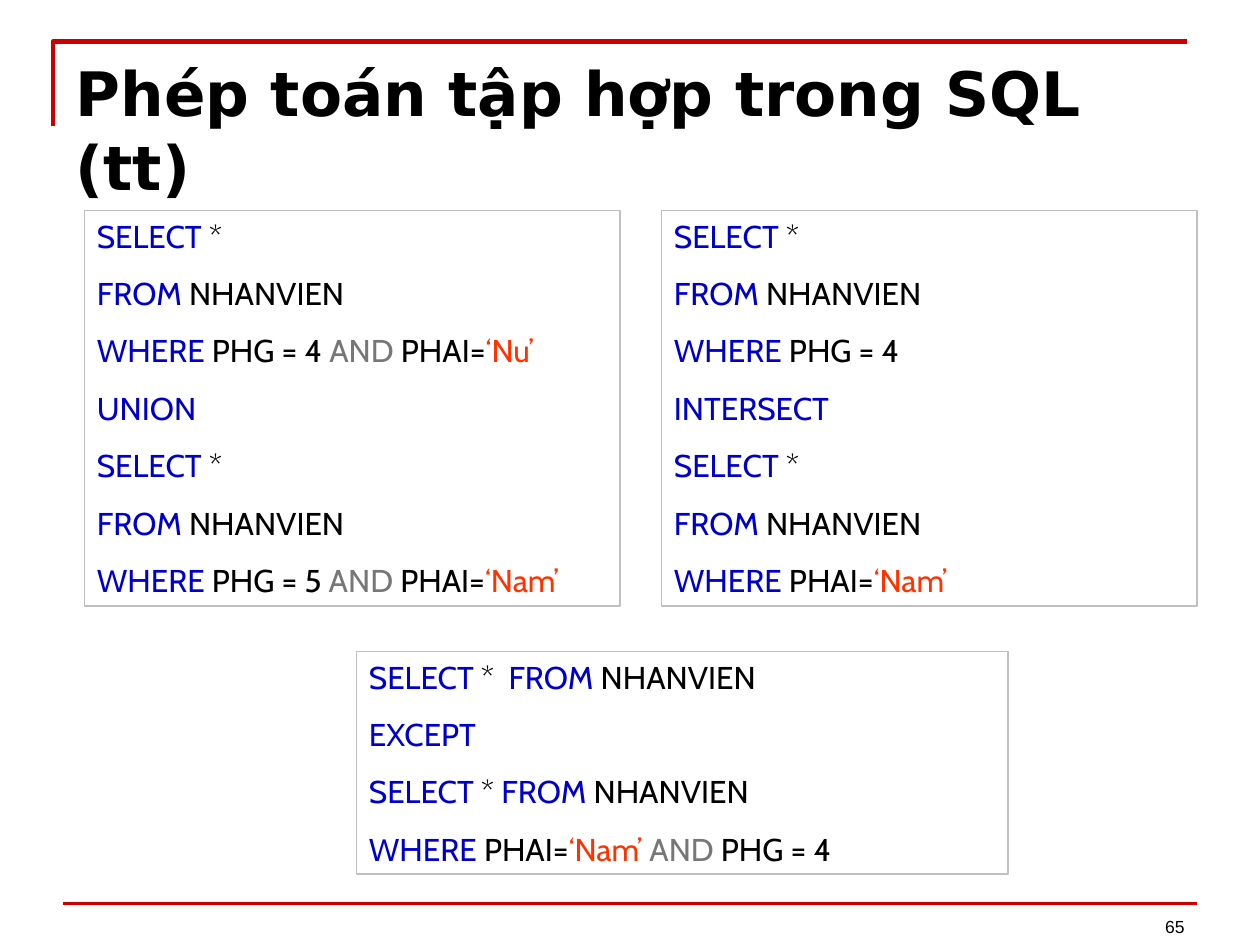
from lxml import etree
from pptx import Presentation
from pptx.dml.color import RGBColor
from pptx.enum.shapes import MSO_CONNECTOR, MSO_SHAPE
from pptx.enum.text import MSO_ANCHOR, MSO_AUTO_SIZE, PP_ALIGN
from pptx.oxml.ns import qn
from pptx.util import Inches, Pt

COLORS = {
    "text": "000000",
    "keyword": "0000CC",
    "operator": "777777",
    "string": "FF3300",
    "border": "C0C0C0",
    "rule": "CC0000",
}

# Each query is a list of lines, each line a list of (text, colour name)
SELECT_ALL = [("SELECT", "keyword"), (" *", "text")]
FROM_STAFF = [("FROM ", "keyword"), ("NHANVIEN", "text")]
WHERE = ("WHERE ", "keyword")
AND = ("AND ", "operator")
GENDER = ("PHAI=", "text")
MALE = ("‘Nam’", "string")

UNION_QUERY = [
    SELECT_ALL,
    FROM_STAFF,
    [WHERE, ("PHG = 4 ", "text"), AND, GENDER, ("‘Nu’", "string")],
    [("UNION", "keyword")],
    SELECT_ALL,
    FROM_STAFF,
    [WHERE, ("PHG = 5 ", "text"), AND, GENDER, MALE],
]
INTERSECT_QUERY = [
    SELECT_ALL,
    FROM_STAFF,
    [WHERE, ("PHG = 4", "text")],
    [("INTERSECT", "keyword")],
    SELECT_ALL,
    FROM_STAFF,
    [WHERE, GENDER, MALE],
]
EXCEPT_QUERY = [
    [("SELECT", "keyword"), (" *  ", "text"), *FROM_STAFF],
    [("EXCEPT", "keyword")],
    [("SELECT", "keyword"), (" * ", "text"), *FROM_STAFF],
    [WHERE, GENDER, ("‘Nam’ ", "string"), AND, ("PHG = 4", "text")],
]


def color(name):
    return RGBColor.from_string(COLORS[name])


def set_font(font, name, size, bold=False):
    font.name = name
    font.size = Pt(size)
    font.bold = bold
    font.color.rgb = color("text")


def set_line(line, name, width):
    line.color.rgb = color(name)
    line.width = Pt(width)


def add_frame(slide, left, top, width, height):
    # Corner line above and beside the title
    builder = slide.shapes.build_freeform(Inches(left), Inches(top + height))
    builder.add_line_segments(
        [(Inches(left), Inches(top)), (Inches(left + width), Inches(top))], close=False
    )
    corner = builder.convert_to_shape()
    corner.shadow.inherit = False
    corner.fill.background()
    set_line(corner.line, "rule", 2.5)


def add_footer(slide, left, top, width, page_number):
    rule = slide.shapes.add_connector(
        MSO_CONNECTOR.STRAIGHT, Inches(left), Inches(top), Inches(left + width), Inches(top)
    )
    set_line(rule.line, "rule", 2)
    etree.SubElement(rule._element.spPr, qn("a:effectLst"))

    # Page number, right-aligned with the rule
    box_width = 2.33
    box = slide.shapes.add_textbox(
        Inches(left + width - box_width), Inches(top - 0.18), Inches(box_width), Inches(0.5)
    )
    frame = box.text_frame
    frame.word_wrap = True
    frame.vertical_anchor = MSO_ANCHOR.BOTTOM
    paragraph = frame.paragraphs[0]
    paragraph.text = page_number
    paragraph.alignment = PP_ALIGN.RIGHT
    set_font(paragraph.font, "Arial", 10)


def set_title(slide, text, left, top, width, height):
    title = slide.shapes.title
    title.left, title.top = Inches(left), Inches(top)
    title.width, title.height = Inches(width), Inches(height)
    frame = title.text_frame
    frame.word_wrap = True
    frame.auto_size = MSO_AUTO_SIZE.NONE
    frame.vertical_anchor = MSO_ANCHOR.TOP
    frame.margin_right = Inches(0.2)
    paragraph = frame.paragraphs[0]
    paragraph.text = text
    paragraph.alignment = PP_ALIGN.LEFT
    set_font(paragraph.font, "DejaVu Sans", 35, bold=True)


def add_query(slide, lines, left, top, width, height):
    box = slide.shapes.add_shape(
        MSO_SHAPE.RECTANGLE, Inches(left), Inches(top), Inches(width), Inches(height)
    )
    box.shadow.inherit = False
    box.fill.background()
    set_line(box.line, "border", 1)
    frame = box.text_frame
    frame.word_wrap = True
    frame.vertical_anchor = MSO_ANCHOR.TOP
    for index, line in enumerate(lines):
        paragraph = frame.add_paragraph() if index else frame.paragraphs[0]
        paragraph.alignment = PP_ALIGN.LEFT
        paragraph.space_before = Pt(11.2 if index else 0)
        set_font(paragraph.font, "Cabin", 18)
        for text, color_name in line:
            run = paragraph.add_run()
            run.text = text
            run.font.color.rgb = color(color_name)


def main():
    presentation = Presentation()
    presentation.slide_width = Inches(10)
    presentation.slide_height = Inches(7.5)
    slide = presentation.slides.add_slide(presentation.slide_layouts[5])

    add_frame(slide, 0.42, 0.33, 9, 0.67)
    add_footer(slide, 0.5, 7.17, 9, "65")
    set_title(slide, "Phép toán tập hợp trong SQL (tt)", 0.5, 0.39, 9.25, 0.68)

    # Two queries side by side, the third below
    for column, query in enumerate([UNION_QUERY, INTERSECT_QUERY]):
        add_query(slide, query, 0.67 + column * 4.58, 1.67, 4.25, 3.14)
    add_query(slide, EXCEPT_QUERY, 2.83, 5.17, 5.17, 1.77)

    presentation.save("out.pptx")


if __name__ == "__main__":
    main()
